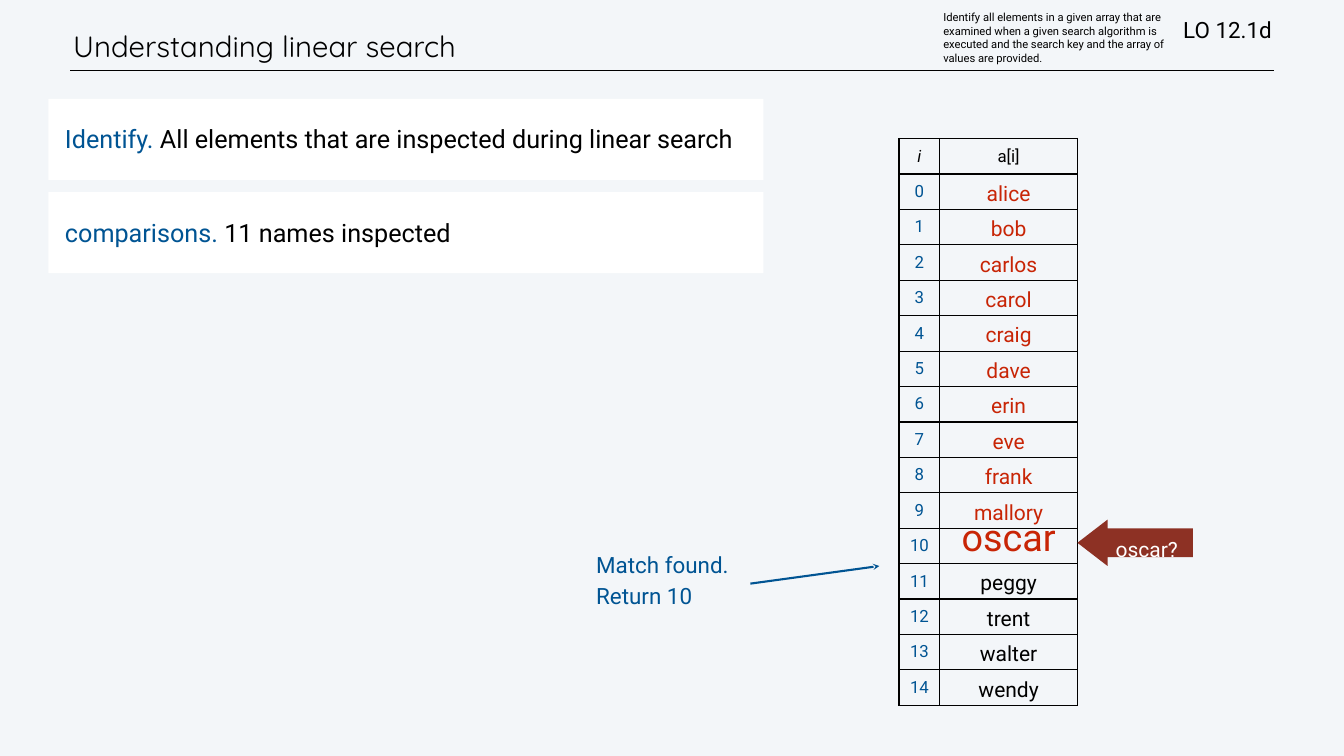
from lxml import etree
from pptx import Presentation
from pptx.dml.color import RGBColor
from pptx.enum.shapes import MSO_CONNECTOR, MSO_SHAPE
from pptx.enum.text import MSO_ANCHOR, PP_ALIGN
from pptx.oxml import parse_xml
from pptx.oxml.ns import nsdecls, qn
from pptx.util import Inches, Pt

TOP, MIDDLE = MSO_ANCHOR.TOP, MSO_ANCHOR.MIDDLE
LEFT, CENTER = PP_ALIGN.LEFT, PP_ALIGN.CENTER
STRAIGHT = MSO_CONNECTOR.STRAIGHT
RECT, ARROW = MSO_SHAPE.RECTANGLE, MSO_SHAPE.LEFT_ARROW
BLACK, WHITE, BLUE, RED = "000000", "FFFFFF", "005493", "C82506"
hue = RGBColor.from_string


def write(frame, lines, size, lead=None, align=LEFT, font="Roboto"):
    """Fill a text frame; each line is a list of (text, colour) runs."""
    for n, runs in enumerate(lines):
        para = frame.add_paragraph() if n else frame.paragraphs[0]
        para.alignment = align
        para.font.size = Pt(size)
        para.font.name = font
        if lead:
            para.line_spacing = Pt(lead)
        if len(runs) == 1:
            para.font.color.rgb = hue(runs[0][1])
        for text, color in runs:
            run = para.add_run()
            run.text = text
            if len(runs) > 1:
                run.font.color.rgb = hue(color)


def setup(shape, inset, anchor=TOP, wrap=True):
    """Set insets, anchor and wrapping, and return the text frame."""
    frame = shape.text_frame
    frame.margin_left = frame.margin_right = Inches(inset)
    frame.margin_top = frame.margin_bottom = Inches(inset)
    frame.vertical_anchor = anchor
    frame.word_wrap = wrap
    return frame


deck = Presentation()
deck.slide_width, deck.slide_height = Inches(26.67), Inches(15)
slide = deck.slides.add_slide(deck.slide_layouts[6])
slide.background.fill.solid()
slide.background.fill.fore_color.rgb = hue("F3F6F9")
shapes = slide.shapes

# Table of names; those up to the match are inspected
names = ["alice", "bob", "carlos", "carol", "craig", "dave", "erin", "eve",
         "frank", "mallory", "oscar", "peggy", "trent", "walter", "wendy"]
match = names.index("oscar")
grid = shapes.add_table(len(names) + 1, 2, Inches(17.84), Inches(2.75),
                        Inches(3.54), Inches(11.25)).table
grid.first_row = grid.horz_banding = False
grid.columns[0].width, grid.columns[1].width = Inches(0.81), Inches(2.73)
for cell in grid.iter_cells():
    cell.margin_left = cell.margin_right = 0
    cell.margin_top = cell.margin_bottom = 0
    cell.vertical_anchor = MIDDLE
    for side in ("lnL", "lnR", "lnT", "lnB"):
        cell._tc.get_or_add_tcPr().append(parse_xml(
            f'<a:{side} {nsdecls("a")} w="{Pt(2)}"><a:solidFill>'
            f'<a:srgbClr val="{BLACK}"/></a:solidFill></a:{side}>'))
    cell.fill.background()
for col, head in enumerate(["i", "a[i]"]):
    frame = grid.cell(0, col).text_frame
    write(frame, [[(head, BLACK)]], 24, align=CENTER)
    frame.paragraphs[0].font.italic = col == 0
for i, name in enumerate(names):
    color = RED if i <= match else BLACK
    size = 54 if i == match else 30
    write(grid.cell(i + 1, 0).text_frame, [[(str(i), BLUE)]], 24, align=CENTER)
    write(grid.cell(i + 1, 1).text_frame, [[(name, color)]], size, 42, CENTER)

# White cards and key arrow
cards = [("Identify. ", "All elements that are inspected during linear search"),
         ("comparisons. ", "11 names inspected")]
for n, (lead, rest) in enumerate(cards):
    card = shapes.add_shape(RECT, Inches(0.96), Inches(1.96 + 1.85 * n),
                            Inches(14.19), Inches(1.61))
    card.shadow.inherit = False
    card.fill.solid()
    card.fill.fore_color.rgb = hue(WHITE)
    card.line.fill.background()
    write(setup(card, 0.33), [[(lead, BLUE), (rest, BLACK)]], 36, 55)

arrow = shapes.add_shape(ARROW, Inches(21.38), Inches(10.31),
                         Inches(2.29), Inches(0.92))
arrow.shadow.inherit = False
arrow.adjustments[0], arrow.adjustments[1] = 0.62, 0.65
arrow.fill.solid()
arrow.fill.fore_color.rgb = hue("8D3124")
arrow.line.fill.background()

# Header rule and pointer to the match
rule = shapes.add_connector(STRAIGHT, Inches(1.39), Inches(1.4),
                            Inches(25.28), Inches(1.4))
link = shapes.add_connector(STRAIGHT, Inches(14.89), Inches(11.58),
                            Inches(17.45), Inches(11.23))
for line, color, width in [(rule, BLACK, 1), (link, BLUE, 3)]:
    line.line.color.rgb = hue(color)
    line.line.width = Pt(width)
    etree.SubElement(line._element.spPr, qn("a:effectLst"))
etree.SubElement(link.line._get_or_add_ln(), qn("a:tailEnd"), type="stealth")

# Loose text: place, inset, anchor, wrap, lines, size, leading, colour, font
goal = ("Identify all elements in a given array that are examined when a given "
        "search algorithm is executed and the search key and the array of "
        "values are provided.")
labels = [
    ((1.39, 0.42, 22.62, 0.99), 0.06, MIDDLE, True,
     ["Understanding linear search"], 42, 50, BLACK, "Quicksand"),
    ((22.08, 10.5, 1.38, 0.61), 0.06, TOP, False,
     ["oscar?"], 30, 42, WHITE, "Roboto"),
    ((11.83, 10.88, 3.54, 1.08), 0, TOP, True,
     ["Match found.", "Return 10"], 32, 43, BLUE, "Roboto"),
    ((23.42, 0.26, 2.99, 0.65), 0.06, MIDDLE, True,
     ["LO 12.1d"], 32, None, BLACK, "Roboto"),
    ((18.66, 0.15, 4.73, 1.19), 0.06, MIDDLE, True,
     [goal], 16, None, BLACK, "Roboto"),
]
for place, inset, anchor, wrap, lines, size, lead, color, font in labels:
    box = shapes.add_textbox(*map(Inches, place))
    write(setup(box, inset, anchor, wrap), [[(text, color)] for text in lines],
          size, lead, font=font)

deck.save("out.pptx")
